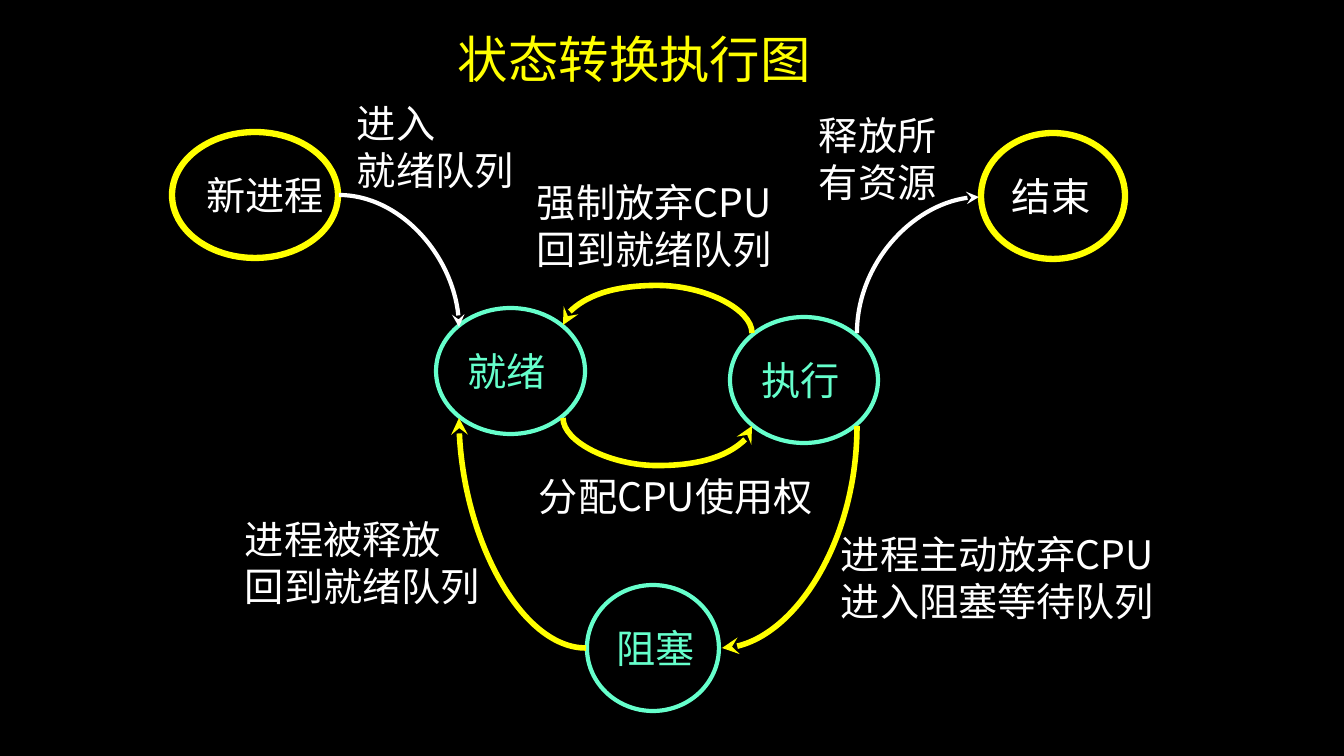
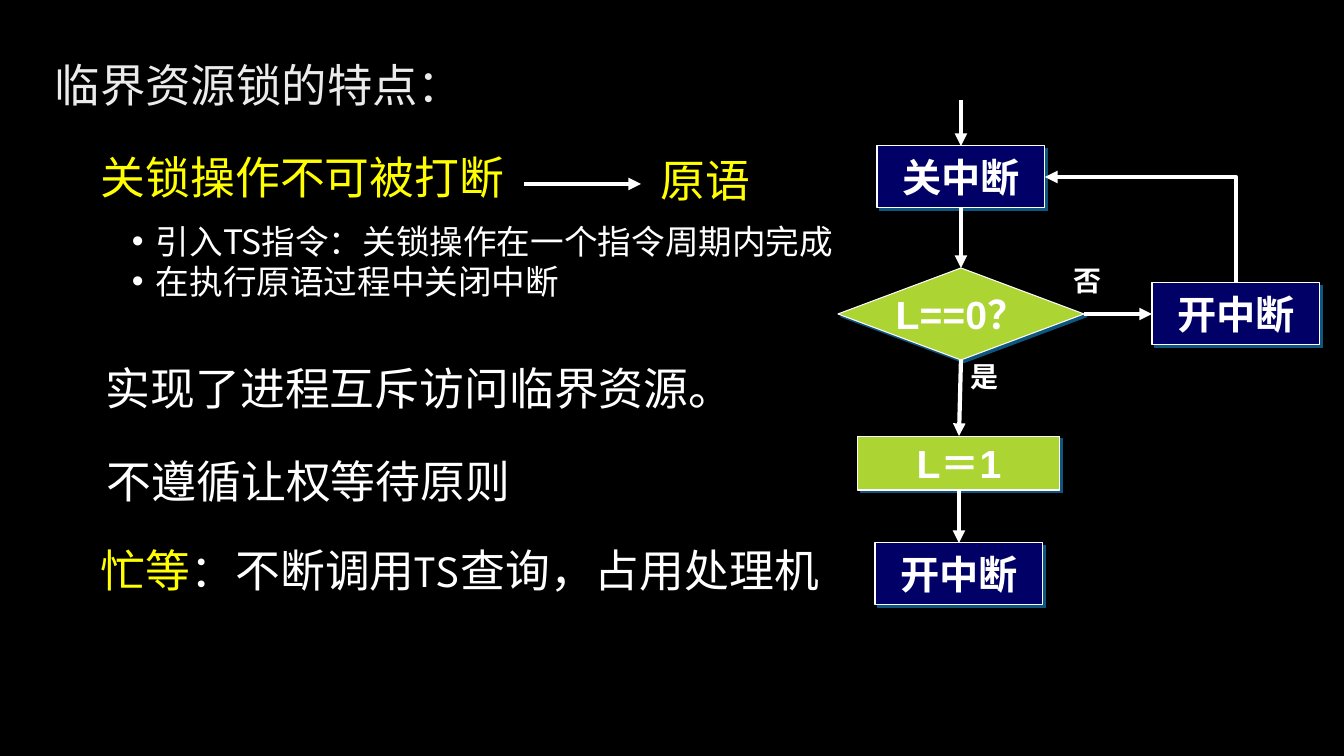
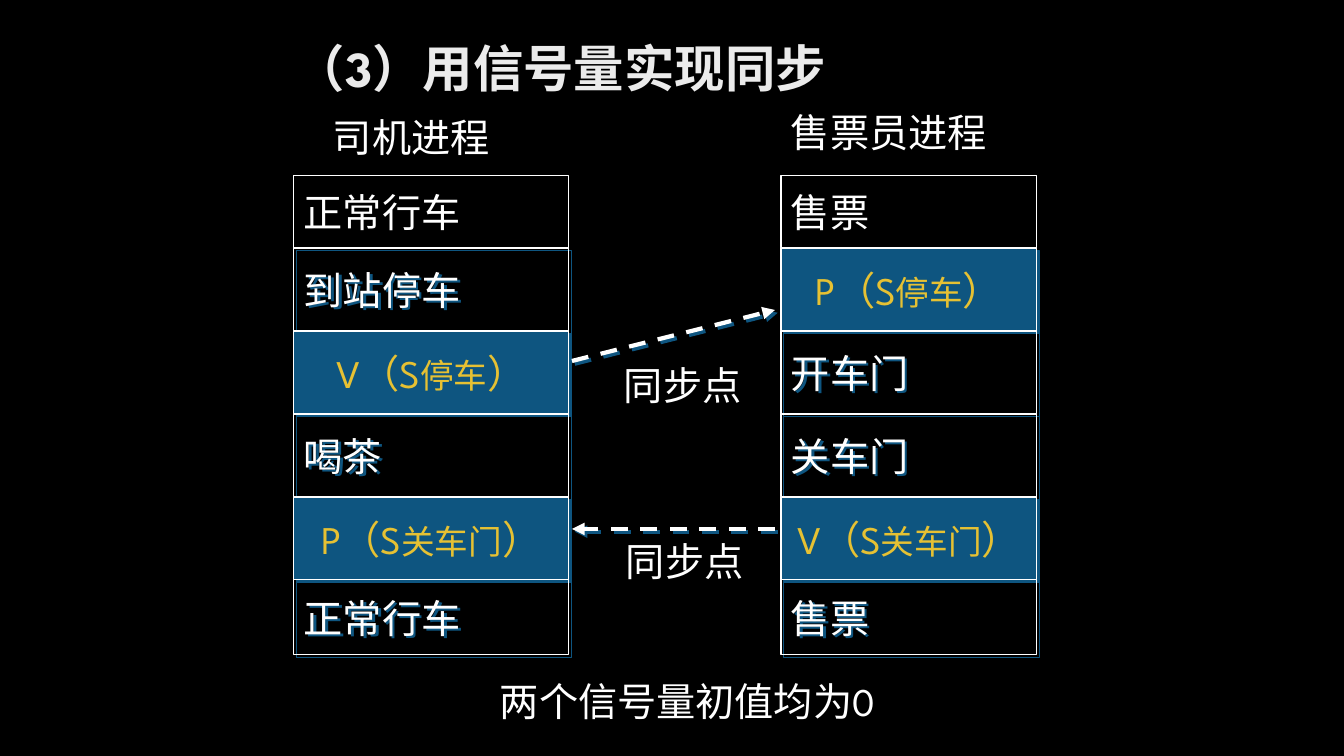
from pptx import Presentation
from pptx.dml.color import RGBColor
from pptx.enum.dml import MSO_LINE
from pptx.enum.shapes import MSO_CONNECTOR, MSO_SHAPE
from pptx.enum.text import MSO_ANCHOR, PP_ALIGN
from pptx.oxml.ns import qn
from pptx.util import Emu, Pt
from lxml.etree import SubElement

PX = 914400 / 100.8
NOTO, SPARTAN, ARIAL = "Noto Sans CJK SC", "League Spartan", "Arial"
BLACK, WHITE, PALE, YELLOW = "000000", "FFFFFF", "EBEBEB", "FFFF00"
MINT, GOLD, LIME, NAVY, BLUE = "66FFCC", "E6C133", "ACD433", "000066", "0E5580"

STATES = [
    ("新进程", (172, 132, 166, 126), YELLOW, WHITE, 4.5),
    ("就绪", (436, 308, 149, 126), MINT, MINT, 3),
    ("执行", (730, 317, 148, 126), MINT, MINT, 3),
    ("结束", (981, 133, 144, 126), YELLOW, WHITE, 4.5),
    ("阻塞", (587, 585, 132, 126), MINT, MINT, 3),
]
CURVES = [
    ((339, 195), (459, 327), WHITE, 3, False, None),
    ((563, 418), (752, 426), YELLOW, 4, True, 593800),
    ((857, 333), (979, 197), WHITE, 3, True, None),
    ((752, 333), (563, 325), YELLOW, 4, True, 593800),
    ((857, 426), (722, 648), YELLOW, 4, True, None),
    ((586, 648), (459, 418), YELLOW, 4, False, None),
]
NOTES = [
    (["进入", "就绪队列"], (347, 94, 182, 104)),
    (["分配CPU使用权"], (529, 467, 318, 57)),
    (["强制放弃CPU", "回到就绪队列"], (527, 173, 264, 104)),
    (["释放所有资源"], (809, 106, 166, 104)),
    (["进程主动放弃CPU", "进入阻塞等待队列"], (831, 525, 348, 104)),
    (["进程被释放", "回到就绪队列"], (235, 510, 278, 104)),
]

POINTS = [
    ("实现了进程互斥访问临界资源。", (96, 356, 687, 64), WHITE),
    ("不遵循让权等待原则", (97, 449, 687, 64), WHITE),
    ([("忙等", {"color": YELLOW}), "：不断调用TS查询，占用处理机"], (91, 538, 741, 64), WHITE),
    ("关锁操作不可被打断", (91, 145, 429, 64), YELLOW),
    ("原语", (651, 148, 127, 64), YELLOW),
]
BULLETS = ["引入TS指令：关锁操作在一个指令周期内完成", "在执行原语过程中关闭中断"]
STEPS = {
    "close": ("关中断", (877, 146, 168, 62), NAVY, MSO_SHAPE.RECTANGLE),
    "test": ("L==0？", (838, 268, 246, 92), LIME, MSO_SHAPE.FLOWCHART_DECISION),
    "lock": ("L＝1", (858, 436, 202, 54), LIME, MSO_SHAPE.RECTANGLE),
    "done": ("开中断", (875, 543, 168, 62), NAVY, MSO_SHAPE.RECTANGLE),
    "retry": ("开中断", (1152, 283, 168, 62), NAVY, MSO_SHAPE.RECTANGLE),
}
LINKS = [("close", 2, "test", 0), ("test", 2, "lock", 0), ("lock", 2, "done", 0), ("test", 3, "retry", 1)]
BRANCHES = [("是", (961, 355, 48, 44)), ("否", (1064, 259, 48, 44))]


def signal(op, name):
    return [op + "（S", (name, {"size": 24}), "）"]


EDGES = [176, 248, 331, 414, 497, 580, 655]
COLUMNS = [
    (294, 275, ["正常行车", "到站停车", signal("V", "停车"), "喝茶", signal("P", "关车门"), "正常行车"]),
    (781, 256, ["售票", signal("P", "停车"), "开车门", "关车门", signal("V", "关车门"), "售票"]),
]
LABELS = [
    ("司机进程", (323, 108, 243, 57), NOTO),
    ("售票员进程", (781, 103, 256, 57), NOTO),
    ("同步点", (616, 532, 139, 57), SPARTAN),
    ("同步点", (614, 356, 140, 57), SPARTAN),
    ("两个信号量初值均为0", (490, 672, 428, 57), SPARTAN),
]
SYNCS = [((775, 529), (572, 529)), ((572, 361), (775, 310))]


def rgb(code):
    return RGBColor.from_string(code)


def emu(nums):
    return [Emu(round(n * PX)) for n in nums]


def put(shape, paras, size=28, font=NOTO, color=WHITE, bold=False, align=PP_ALIGN.LEFT,
        anchor=MSO_ANCHOR.TOP, wrap=True, bullet=False):
    frame = shape.text_frame
    frame.word_wrap = wrap
    frame.vertical_anchor = anchor
    for i, runs in enumerate(paras):
        para = frame.add_paragraph() if i else frame.paragraphs[0]
        para.alignment = align
        if bullet:
            props = para._p.get_or_add_pPr()
            left, hang = emu((50, 24))
            props.set("marL", str(left))
            props.set("indent", str(-hang))
            SubElement(props, qn("a:buFont")).set("typeface", ARIAL)
            SubElement(props, qn("a:buChar")).set("char", "•")
        for part in [runs] if isinstance(runs, str) else runs:
            words, own = (part, {}) if isinstance(part, str) else part
            run = para.add_run()
            run.text = words
            run.font.size = Pt(own.get("size", size))
            run.font.bold = bold
            run.font.name = font
            run.font.color.rgb = rgb(own.get("color", color))
            SubElement(run._r.get_or_add_rPr(), qn("a:ea")).set("typeface", font)


def label(slide, paras, box, **form):
    put(slide.shapes.add_textbox(*emu(box)), paras, **form)


def title(slide, words, box, **form):
    label(slide, [words], box, anchor=MSO_ANCHOR.MIDDLE, **form)


def cast(effects):
    shade = SubElement(effects, qn("a:outerShdw"), dist="35921", dir="2700000", algn="ctr", rotWithShape="0")
    SubElement(shade, qn("a:srgbClr")).set("val", BLUE)


def block(slide, kind, box, paras, fill=None, edge=WHITE, width=0.75, shade=False, **form):
    shape = slide.shapes.add_shape(kind, *emu(box))
    if fill:
        shape.fill.solid()
        shape.fill.fore_color.rgb = rgb(fill)
    else:
        shape.fill.background()
    shape.line.color.rgb = rgb(edge)
    shape.line.width = Pt(width)
    shape.shadow.inherit = False
    if shade:
        cast(shape._element.spPr.find(qn("a:effectLst")))
    put(shape, paras, anchor=MSO_ANCHOR.MIDDLE, wrap=False, **form)
    return shape


def arrow(slide, start, end, kind=MSO_CONNECTOR.STRAIGHT, color=WHITE, width=3,
          tip="triangle", dash=False, shade=False):
    line = slide.shapes.add_connector(kind, *emu(start + end))
    line.line.color.rgb = rgb(color)
    line.line.width = Pt(width)
    if dash:
        line.line.dash_style = MSO_LINE.DASH
    SubElement(line.line._get_or_add_ln(), qn("a:tailEnd")).set("type", tip)
    effects = SubElement(line._element.spPr, qn("a:effectLst"))
    if shade:
        cast(effects)
    return line


def turn(line, start, end, prst, upright, bend=None):
    (x1, y1), (x2, y2) = start, end
    dx, dy = x2 - x1, y2 - y1
    wide, high = abs(dx), abs(dy)
    flip = False
    if upright:
        wide, high = high, wide
        angle = 270 if dx > 0 else 90
        flip = (dy > 0) == (dx > 0)
    else:
        angle = 0 if dx > 0 else 180
    line.left, line.top, line.width, line.height = emu(
        ((x1 + x2 - wide) / 2, (y1 + y2 - high) / 2, wide, high))
    props = line._element.spPr
    frame = props.find(qn("a:xfrm"))
    for key in ("flipH", "flipV"):
        frame.attrib.pop(key, None)
    frame.set("rot", str(angle * 60000))
    if flip:
        frame.set("flipH", "1")
    shape = props.find(qn("a:prstGeom"))
    shape.set("prst", prst)
    if bend:
        SubElement(shape.find(qn("a:avLst")), qn("a:gd"), name="adj1", fmla=f"val {bend}")


def states(slide):
    title(slide, "状态转换执行图", (448, 24, 423, 68), size=36, color=YELLOW)
    for name, box, edge, color, width in STATES:
        block(slide, MSO_SHAPE.OVAL, box, [name], edge=edge, width=width, color=color)
    for start, end, color, width, upright, bend in CURVES:
        line = arrow(slide, start, end, MSO_CONNECTOR.CURVE, color, width, "stealth")
        turn(line, start, end, "curvedConnector3" if bend else "curvedConnector2", upright, bend)
    for lines, box in NOTES:
        label(slide, lines, box)


def locks(slide):
    title(slide, "临界资源锁的特点：", (45, 50, 562, 68), size=32.4, font=SPARTAN, color=PALE)
    for words, box, color in POINTS:
        label(slide, [words], box, size=32, font=SPARTAN, color=color)
    label(slide, BULLETS, (96, 216, 842, 92), size=24, bullet=True)
    arrow(slide, (524, 184), (641, 184))
    nodes = {
        key: block(slide, kind, box, [words], fill, shade=True, font=ARIAL, bold=True, align=PP_ALIGN.CENTER)
        for key, (words, box, fill, kind) in STEPS.items()
    }
    for head, side, tail, port in LINKS:
        line = arrow(slide, (0, 0), (0, 0))
        line.begin_connect(nodes[head], side)
        line.end_connect(nodes[tail], port)
    start, end = (1236, 283), (1045, 177)
    back = arrow(slide, start, end, MSO_CONNECTOR.ELBOW)
    back.begin_connect(nodes["retry"], 0)
    back.end_connect(nodes["close"], 3)
    turn(back, start, end, "bentConnector2", True)
    entry = arrow(slide, (961, 100), (961, 146))
    entry.end_connect(nodes["close"], 0)
    for words, box in BRANCHES:
        label(slide, [words], box, size=20, font=ARIAL, bold=True)


def sync(slide):
    title(slide, "（3）用信号量实现同步", (285, 25, 672, 84), size=36, font=SPARTAN, color=PALE, bold=True)
    for left, width, cells in COLUMNS:
        for i, (top, low, words) in enumerate(zip(EDGES, EDGES[1:], cells)):
            mark = not isinstance(words, str)
            block(slide, MSO_SHAPE.RECTANGLE, (left, top, width, low - top), [words],
                  fill=BLUE if mark else None, shade=i > 0, font=SPARTAN,
                  color=GOLD if mark else WHITE, align=PP_ALIGN.CENTER if mark else PP_ALIGN.LEFT)
    for start, end in SYNCS:
        arrow(slide, start, end, dash=True, shade=True)
    for words, box, font in LABELS:
        label(slide, [words], box, font=font)


def main():
    deck = Presentation()
    deck.slide_width, deck.slide_height = emu((1344, 756))
    for draw in (states, locks, sync):
        slide = deck.slides.add_slide(deck.slide_layouts[6])
        slide.background.fill.solid()
        slide.background.fill.fore_color.rgb = rgb(BLACK)
        draw(slide)
    deck.save("out.pptx")


if __name__ == "__main__":
    main()
